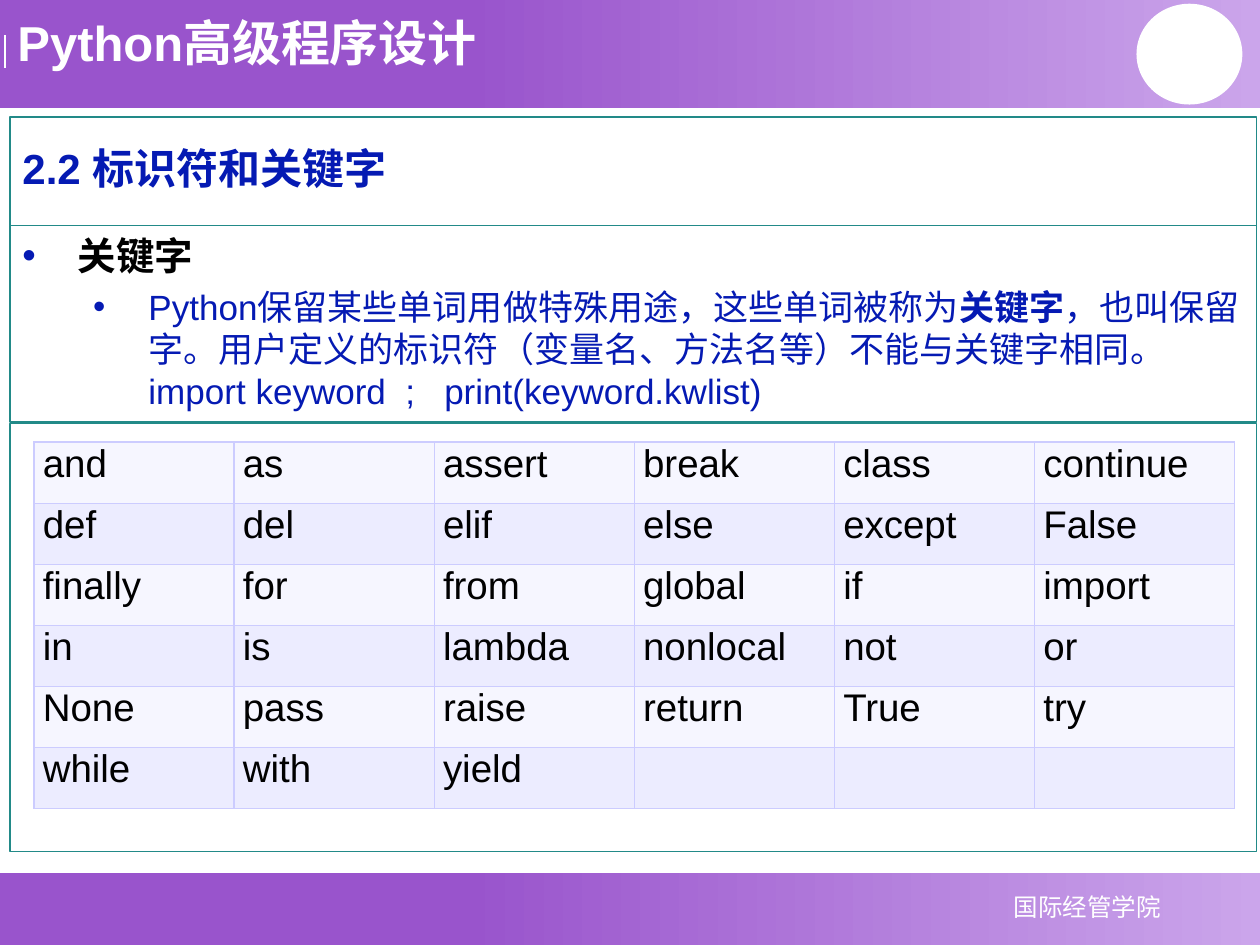
from dataclasses import dataclass
from lxml.etree import SubElement
from pptx import Presentation
from pptx.dml.color import RGBColor
from pptx.enum.shapes import MSO_CONNECTOR as Connector, MSO_SHAPE as Shape
from pptx.enum.text import MSO_ANCHOR as Anchor, PP_ALIGN as Align
from pptx.oxml.ns import qn
from pptx.util import Inches, Pt


@dataclass(frozen=True)
class Theme:
    font: str = "Arial"
    purple: str = "9954CC"
    lilac: str = "CBA5EB"
    white: str = "FFFFFF"
    black: str = "000000"
    blue: str = "051AB3"
    teal: str = "228A88"
    grid: str = "CCCCFF"
    bands: tuple = ("F6F6FF", "ECECFF")
    course_size: int = 28
    heading_size: int = 24
    topic_size: int = 22
    body_size: int = 20
    footer_size: int = 14


def rgb(code):
    return RGBColor.from_string(code)


def write(paragraph, text, *, size, color, font, bold=False, align=None,
          before=0, after=0, spacing=None):
    """Add one formatted run and set the format of its paragraph."""
    run = paragraph.add_run()
    run.text = text
    run.font.size, run.font.name, run.font.bold = Pt(size), font, bold
    run.font.color.rgb = rgb(color)
    paragraph.space_before, paragraph.space_after = Pt(before), Pt(after)
    if align is not None:
        paragraph.alignment = align
    if spacing:
        paragraph.line_spacing = spacing


class SlideBuilder:
    def __init__(self, slide, theme):
        self.slide, self.theme = slide, theme

    def shape(self, box, kind=Shape.RECTANGLE, fill=None, line=None):
        item = self.slide.shapes.add_shape(kind, *map(Inches, box))
        item.shadow.inherit = False
        if fill:
            item.fill.solid()
            item.fill.fore_color.rgb = rgb(fill)
        else:
            item.fill.background()
        if line:
            item.line.color.rgb, item.line.width = rgb(line), Pt(0.75)
        else:
            item.line.fill.background()
        return item

    def band(self, top, height):
        fill = self.shape((0, top, 10, height)).fill
        fill.gradient()
        fill.gradient_angle = 0
        colors = (self.theme.purple, self.theme.lilac)
        for stop, position, color in zip(fill.gradient_stops, (0.37, 1), colors):
            stop.position, stop.color.rgb = position, rgb(color)

    def frame(self, top, height, anchor=Anchor.TOP):
        panel = self.shape((0.08, top, 9.89, height), line=self.theme.teal)
        return self.prepare(panel.text_frame, anchor)

    def text_box(self, box, anchor=Anchor.TOP):
        area = self.slide.shapes.add_textbox(*map(Inches, box))
        return self.prepare(area.text_frame, anchor)

    def prepare(self, text_frame, anchor):
        text_frame.word_wrap, text_frame.vertical_anchor = True, anchor
        text_frame.paragraphs[0].alignment = Align.LEFT
        return text_frame

    def line(self, start, end, color):
        rule = self.slide.shapes.add_connector(
            Connector.STRAIGHT, *map(Inches, start + end))
        rule.line.color.rgb, rule.line.width = rgb(color), Pt(0.75)
        SubElement(rule._element.spPr, qn("a:effectLst"))

    def bullet(self, paragraph, indent):
        paragraph.alignment = Align.LEFT
        props = paragraph._p.get_or_add_pPr()
        props.set("marL", str(Inches(indent)))
        props.set("indent", str(-Inches(0.44)))
        color = SubElement(props, qn("a:buClr"))
        SubElement(color, qn("a:srgbClr"), val=self.theme.blue)
        SubElement(props, qn("a:buFont"), typeface=self.theme.font)
        SubElement(props, qn("a:buChar"), char="•")

    def cell_borders(self, cell):
        props = cell._tc.get_or_add_tcPr()
        for place, side in enumerate(("a:lnL", "a:lnR", "a:lnT", "a:lnB")):
            edge = SubElement(props, qn(side), w=str(Pt(1)))
            props.insert(place, edge)
            fill = SubElement(edge, qn("a:solidFill"))
            SubElement(fill, qn("a:srgbClr"), val=self.theme.grid)

    def table(self, words, box, columns):
        theme = self.theme
        rows = -(-len(words) // columns)
        grid = self.slide.shapes.add_table(
            rows, columns, *map(Inches, box)).table
        for index in range(rows * columns):
            row, column = divmod(index, columns)
            cell = grid.cell(row, column)
            cell.fill.solid()
            cell.fill.fore_color.rgb = rgb(theme.bands[row % 2])
            cell.margin_left = cell.margin_right = Inches(0.07)
            cell.margin_top = cell.margin_bottom = 0
            self.cell_borders(cell)
            if index < len(words):
                write(cell.text_frame.paragraphs[0], words[index],
                      size=theme.topic_size, color=theme.black, font=theme.font,
                      align=Align.JUSTIFY, before=1.2, after=1.2)


theme = Theme()
deck = Presentation()
deck.slide_width, deck.slide_height = Inches(10), Inches(7.5)
page = SlideBuilder(deck.slides.add_slide(deck.slide_layouts[6]), theme)

# Footer and header bands
page.band(6.93, 0.57)
page.band(0, 0.86)
page.line((0.04, 0.28), (0.04, 0.54), theme.white)
school = page.text_box((7.47, 7.03, 2.32, 0.34), Anchor.MIDDLE)
write(school.paragraphs[0], "国际经管学院", size=theme.footer_size,
      color=theme.white, font=theme.font, align=Align.CENTER)
course = page.text_box((0.04, 0.05, 4.1, 0.57))
write(course.paragraphs[0], "Python高级程序设计", size=theme.course_size,
      color=theme.white, font=theme.font, bold=True)
page.shape((9.02, 0.03, 0.84, 0.8), Shape.OVAL, fill=theme.white)

# Section heading
heading = page.frame(0.93, 0.86, Anchor.MIDDLE)
write(heading.paragraphs[0], "2.2 标识符和关键字", size=theme.heading_size,
      color=theme.blue, font=theme.font, bold=True, spacing=0.9)

# Explanation of keywords
explanation = page.frame(1.79, 1.56)
topic = explanation.paragraphs[0]
write(topic, "关键字", size=theme.topic_size, color=theme.black,
      font=theme.font, bold=True, after=4.4)
page.bullet(topic, 0.44)
detail = explanation.add_paragraph()
detail.level = 1
for words, bold in (
    ("Python保留某些单词用做特殊用途，这些单词被称为", False),
    ("关键字", True),
    ("，也叫保留字。用户定义的标识符（变量名、方法名等）不能与关键字相同。"
     "import keyword  ;   print(keyword.kwlist)", False),
):
    write(detail, words, size=theme.body_size, color=theme.blue,
          font=theme.font, bold=bold, after=4)
page.bullet(detail, 1)

# Keyword table inside its frame
keywords = """and as assert break class continue
def del elif else except False
finally for from global if import
in is lambda nonlocal not or
None pass raise return True try
while with yield""".split()
page.table(keywords, (0.27, 3.51, 9.53, 2.91), columns=6)
page.frame(3.36, 3.4)

deck.save("out.pptx")
